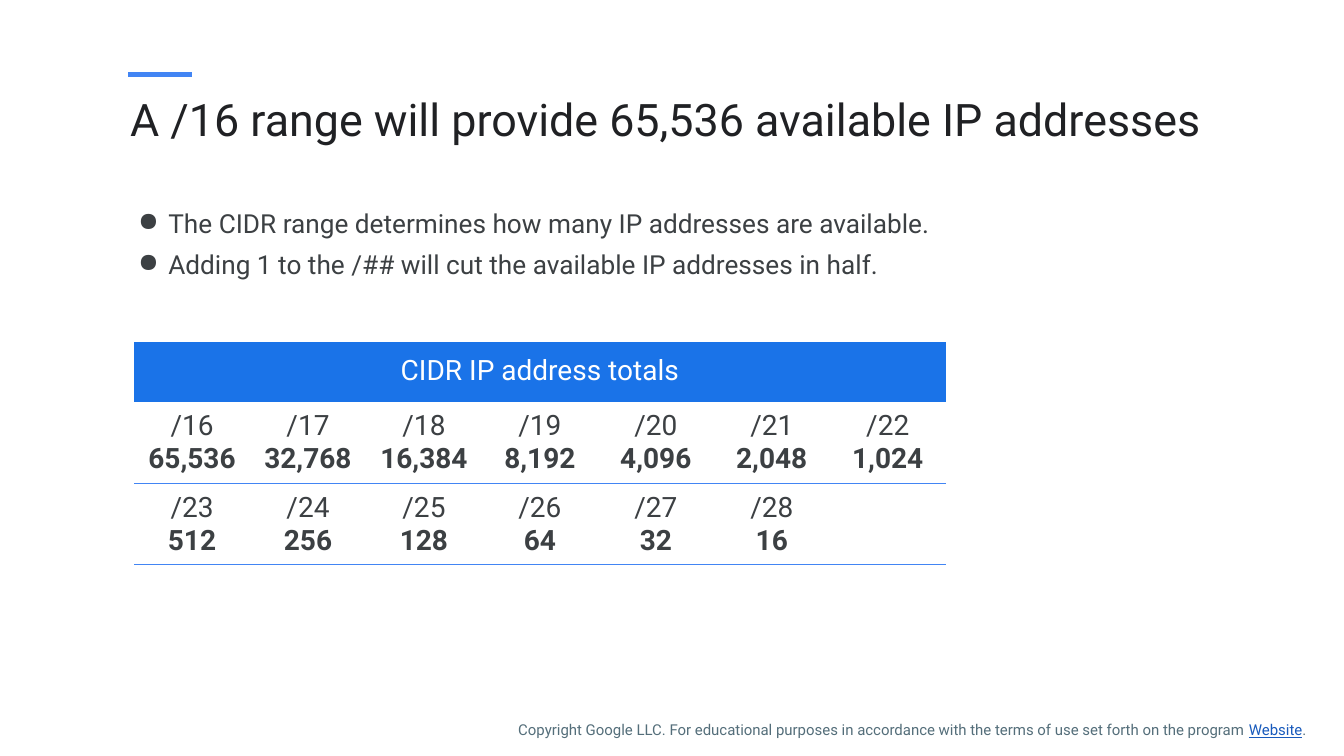
import pptx
import pptx.dml.color
import pptx.enum.shapes
import pptx.enum.text
import pptx.oxml
import pptx.oxml.ns
import pptx.util
from dataclasses import dataclass
from lxml import etree

PX = 9144  # EMU per px, 100 px to the inch
ALIGN = pptx.enum.text.PP_ALIGN
ANCHOR = pptx.enum.text.MSO_ANCHOR


@dataclass(frozen=True)
class Theme:
    font: str = "Roboto"
    title_color: str = "202124"
    body_color: str = "3C4043"
    header_fill: str = "1A73E8"
    header_color: str = "FFFFFF"
    rule_color: str = "4285F4"
    footer_color: str = "546E7A"
    link_color: str = "185ABC"
    title_size: float = 32
    body_size: float = 18.7
    table_size: float = 20
    footer_size: float = 10.7
    accent_width: float = 3
    rule_width: float = 0.75


def px(length):
    return pptx.util.Emu(length * PX)


def rgb(color):
    return pptx.dml.color.RGBColor.from_string(color)


def sub(parent, tag, **attributes):
    return etree.SubElement(parent, pptx.oxml.ns.qn(tag), **attributes)


def set_insets(holder, horizontal, vertical):
    holder.margin_left = holder.margin_right = px(horizontal)
    holder.margin_top = holder.margin_bottom = px(vertical)


class SlideBuilder:
    def __init__(self, slide, theme):
        self.slide = slide
        self.theme = theme

    def style(self, paragraph, size, color, bold=False):
        font = paragraph.font
        font.name = self.theme.font
        font.size = pptx.util.Pt(size)
        font.bold = bold
        font.color.rgb = rgb(color)

    def title(self, text, left, top, width, height):
        heading = self.slide.shapes.title
        heading.left, heading.top = px(left), px(top)
        heading.width, heading.height = px(width), px(height)
        frame = heading.text_frame
        frame.text = text
        frame.auto_size = pptx.enum.text.MSO_AUTO_SIZE.NONE
        frame.vertical_anchor = ANCHOR.TOP
        set_insets(frame, 7, 7)
        frame.paragraphs[0].alignment = ALIGN.LEFT
        self.style(frame.paragraphs[0], self.theme.title_size, self.theme.title_color)

    def accent(self, left, right, y):
        bar = self.slide.shapes.add_connector(
            pptx.enum.shapes.MSO_CONNECTOR.STRAIGHT, px(left), px(y), px(right), px(y))
        bar.line.color.rgb = rgb(self.theme.rule_color)
        bar.line.width = pptx.util.Pt(self.theme.accent_width)
        sub(bar._element.spPr, "a:effectLst")

    def text_frame(self, left, top, width, height, inset):
        frame = self.slide.shapes.add_textbox(
            px(left), px(top), px(width), px(height)).text_frame
        frame.word_wrap = True
        set_insets(frame, inset, inset)
        return frame

    def bullets(self, points, left, top, width, height):
        frame = self.text_frame(left, top, width, height, 7)
        for index, point in enumerate(points):
            paragraph = frame.add_paragraph() if index else frame.paragraphs[0]
            paragraph.text = point
            if index:
                paragraph.space_before = pptx.util.Pt(6.7)
            properties = paragraph._p.get_or_add_pPr()
            properties.set("marL", str(px(33)))
            properties.set("indent", str(px(-30)))
            sub(sub(properties, "a:buClr"), "a:srgbClr", val=self.theme.body_color)
            sub(properties, "a:buChar", char="●")
            self.style(paragraph, self.theme.body_size, self.theme.body_color)

    def borders(self, cell, ruled):
        """Rule the named sides (T, B) and clear the others."""
        properties = cell._tc.get_or_add_tcPr()
        for side in "LRTB":
            width = pptx.util.Pt(self.theme.rule_width)
            line = sub(properties, f"a:ln{side}", w=str(width))
            if side in ruled:
                sub(sub(line, "a:solidFill"), "a:srgbClr", val=self.theme.rule_color)
            else:
                sub(line, "a:noFill")

    def range_table(self, heading, rows, left, top, column_width, row_heights):
        columns = len(rows[0])
        table = self.slide.shapes.add_table(
            len(row_heights), columns, px(left), px(top),
            px(column_width * columns), px(sum(row_heights))).table
        table.first_row = table.horz_banding = False
        for row, height in zip(table.rows, row_heights):
            row.height = px(height)
        for column in table.columns:
            column.width = px(column_width)

        table.cell(0, 0).merge(table.cell(0, columns - 1))
        for index in range(columns):
            header = table.cell(0, index)
            self.borders(header, "")
            header.fill.solid()
            header.fill.fore_color.rgb = rgb(self.theme.header_fill)
        title_cell = table.cell(0, 0)
        set_insets(title_cell, 7, 13)
        self.fill_cell(title_cell, [heading], self.theme.header_color)

        for r, entries in enumerate(rows, start=1):
            for c in range(columns):
                cell = table.cell(r, c)
                self.borders(cell, "B" if r == 1 else "TB")
                cell.fill.background()
                cell.vertical_anchor = ANCHOR.MIDDLE
                set_insets(cell, 7, 7)
                if c < len(entries):
                    self.fill_cell(cell, entries[c], self.theme.body_color)

    def fill_cell(self, cell, lines, color):
        """Centre the lines, the second one bold."""
        frame = cell.text_frame
        frame.text = "\n".join(lines)
        for index, paragraph in enumerate(frame.paragraphs):
            paragraph.alignment = ALIGN.CENTER
            self.style(paragraph, self.theme.table_size, color, bold=index == 1)

    def footer(self, before, link, after, left, top, width, height):
        paragraph = self.text_frame(left, top, width, height, 13).paragraphs[0]
        paragraph.line_spacing = 1.15
        self.style(paragraph, self.theme.footer_size, self.theme.footer_color)
        for text in (before, link, after):
            run = paragraph.add_run()
            run.text = text
            if text == link:
                run.font.underline = True
                run.font.color.rgb = rgb(self.theme.link_color)


def main():
    deck = pptx.Presentation()
    deck.slide_width, deck.slide_height = px(1333), px(750)
    title_only = deck.slide_layouts[5]
    page = SlideBuilder(deck.slides.add_slide(title_only), Theme())

    page.accent(127, 190, 74)
    page.title("A /16 range will provide 65,536 available IP addresses", 122, 84, 1077, 83)
    page.bullets([
        "The CIDR range determines how many IP addresses are available.",
        "Adding 1 to the /## will cut the available IP addresses in half.",
    ], 127, 199, 1047, 472)

    totals = [(f"/{prefix}", f"{2 ** (32 - prefix):,}") for prefix in range(16, 29)]
    page.range_table("CIDR IP address totals", [totals[:7], totals[7:]],
                     133, 339, 115, [60, 80, 80])

    page.footer("Copyright Google LLC. For educational purposes in accordance with "
                "the terms of use set forth on the program ", "Website", ".",
                501, 702, 825, 38)
    deck.save("out.pptx")


if __name__ == "__main__":
    main()
